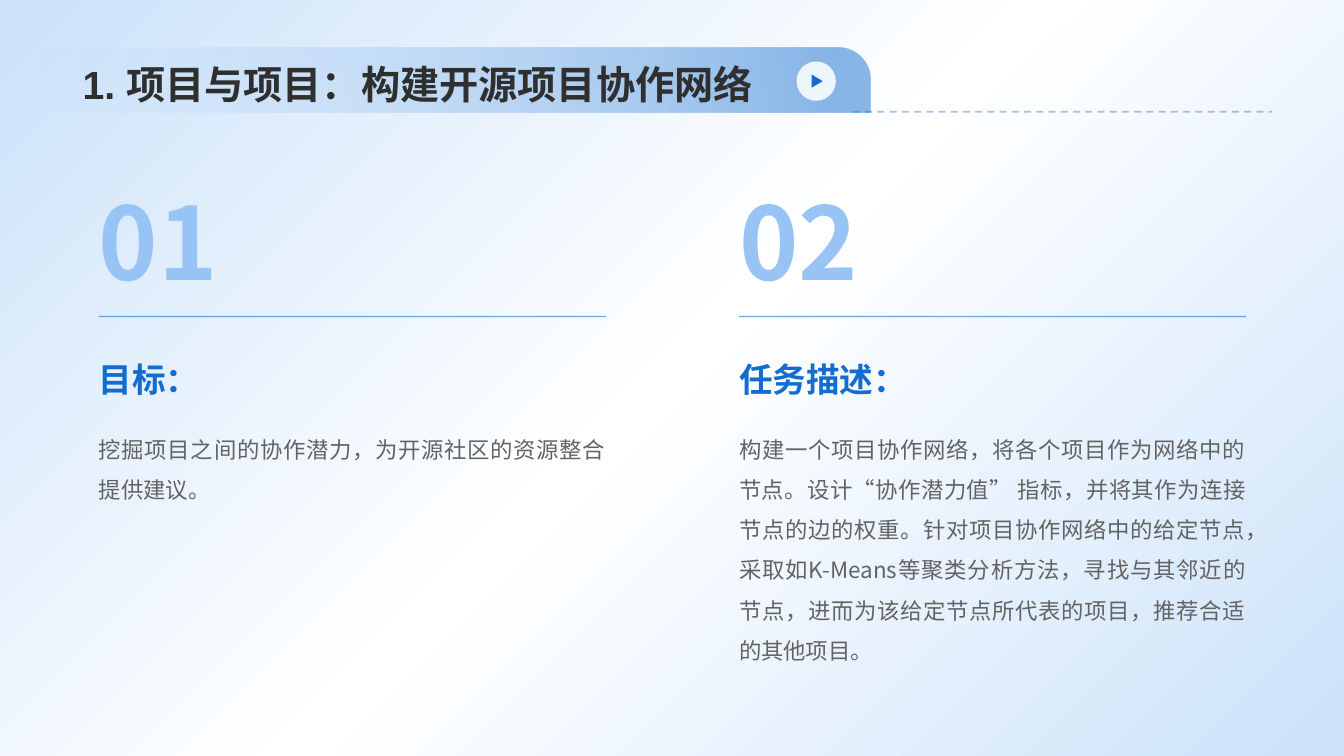
from lxml.etree import SubElement
from pptx import Presentation
from pptx.dml.color import RGBColor
from pptx.enum.dml import MSO_LINE as DASH
from pptx.enum.shapes import MSO_CONNECTOR as CONNECTOR, MSO_SHAPE as SHAPE
from pptx.enum.text import MSO_ANCHOR as ANCHOR, MSO_AUTO_SIZE as AUTO, PP_ALIGN as ALIGN
from pptx.oxml.ns import qn
from pptx.util import Inches, Pt

BLUE = RGBColor(0x13, 0x6D, 0xCF)
LIGHT_BLUE = RGBColor(0x97, 0xC4, 0xF5)
PALE_BLUE = RGBColor(0xCB, 0xE2, 0xFA)
ICE = RGBColor(0xED, 0xF6, 0xFD)
WHITE = RGBColor(0xFF, 0xFF, 0xFF)
DARK = RGBColor(0x2F, 0x2F, 0x2F)
GRAY = RGBColor(0x63, 0x63, 0x63)
CJK_FONT = "Noto Sans CJK SC"
COLUMN_W = 5.03

COLUMNS = [
    ("01", "目标：", "挖掘项目之间的协作潜力，为开源社区的资源整合提供建议。"),
    ("02", "任务描述：",
     "构建一个项目协作网络，将各个项目作为网络中的节点。"
     "设计“协作潜力值” 指标，并将其作为连接节点的边的权重。"
     "针对项目协作网络中的给定节点，采取如K-Means等聚类分析方法，"
     "寻找与其邻近的节点，进而为该给定节点所代表的项目，推荐合适的其他项目。"),
]


def set_alpha(color, percent):
    SubElement(color, qn("a:alpha")).set("val", str(percent * 1000))


def set_gradient(fill, element, angle, stops):
    fill.gradient()
    fill.gradient_angle = angle
    stop_list = next(element.iter(qn("a:gsLst")))
    for old in list(stop_list):
        stop_list.remove(old)
    for position, color, alpha in stops:
        stop = SubElement(stop_list, qn("a:gs"), pos=str(position * 1000))
        set_alpha(SubElement(stop, qn("a:srgbClr"), val=str(color)), alpha)


def set_text(tf, text, size, color, bold=False, font=CJK_FONT, anchor=ANCHOR.TOP,
             align=ALIGN.LEFT, spacing=None, wrap=True):
    tf.word_wrap = wrap
    tf.auto_size = AUTO.NONE
    tf.vertical_anchor = anchor
    p = tf.paragraphs[0]
    p.alignment = align
    p.line_spacing = spacing
    r = p.add_run()
    r.text = text
    r.font.name = font
    r.font.size = Pt(size)
    r.font.bold = bold
    r.font.color.rgb = color
    SubElement(r.font._element, qn("a:ea"), typeface=CJK_FONT)


def add_text(slide, x, y, w, h, text, **style):
    tf = slide.shapes.add_textbox(Inches(x), Inches(y), Inches(w), Inches(h)).text_frame
    tf.margin_left = tf.margin_top = tf.margin_right = tf.margin_bottom = 0
    set_text(tf, text, **style)


def add_shape(slide, kind, x, y, w, h, color=None):
    sp = slide.shapes.add_shape(kind, Inches(x), Inches(y), Inches(w), Inches(h))
    sp.shadow.inherit = False
    sp.line.fill.background()
    if color is not None:
        sp.fill.solid()
        sp.fill.fore_color.rgb = color
    return sp


def add_line(slide, x1, x2, y, width, alpha, dash=DASH.SOLID):
    line = slide.shapes.add_connector(
        CONNECTOR.STRAIGHT, Inches(x1), Inches(y), Inches(x2), Inches(y))
    line.line.color.rgb = BLUE
    line.line.width = Pt(width)
    line.line.dash_style = dash
    set_alpha(next(line.element.iter(qn("a:srgbClr"))), alpha)
    SubElement(line.element.spPr, qn("a:effectLst"))


def add_banner(slide):
    banner = add_shape(slide, SHAPE.ROUND_2_DIAG_RECTANGLE, 0.4, 0.47, 8.23, 0.65)
    banner.adjustments[0] = 0
    banner.adjustments[1] = 0.5
    set_gradient(banner.fill, banner.element, 0, [(0, LIGHT_BLUE, 0), (96, BLUE, 50)])
    add_shape(slide, SHAPE.OVAL, 7.9, 0.61, 0.39, 0.39, ICE)
    add_shape(slide, SHAPE.ISOSCELES_TRIANGLE, 8.04, 0.75, 0.13, 0.11, BLUE).rotation = 90
    add_line(slide, 8.46, 12.62, 1.11, 1.25, 40, DASH.DASH)


def add_title(slide, text):
    title = slide.shapes.title
    title.left, title.top = Inches(0.72), Inches(0.14)
    title.width, title.height = Inches(11.88), Inches(0.98)
    set_text(title.text_frame, text, size=28, color=DARK, bold=True, font="Arial",
             anchor=ANCHOR.BOTTOM)
    title.element.getparent().append(title.element)


def add_column(slide, x, number, heading, body):
    add_text(slide, x, 1.69, COLUMN_W, 1.29, number, size=72, color=LIGHT_BLUE,
             bold=True, anchor=ANCHOR.BOTTOM, wrap=False)
    add_line(slide, x, x + COLUMN_W, 3.14, 1, 60)
    add_text(slide, x, 3.4, COLUMN_W, 0.72, heading, size=24, color=BLUE,
             bold=True, anchor=ANCHOR.MIDDLE)
    add_text(slide, x, 4.19, COLUMN_W, 2.66, body, size=16, color=GRAY,
             align=ALIGN.JUSTIFY, spacing=1.5)


def main():
    prs = Presentation()
    prs.slide_width, prs.slide_height = Inches(13.33), Inches(7.5)
    slide = prs.slides.add_slide(prs.slide_layouts[5])
    set_gradient(slide.background.fill, slide.element, 315,
                 [(0, PALE_BLUE, 100), (50, WHITE, 100), (100, PALE_BLUE, 100)])
    add_banner(slide)
    add_title(slide, "1. 项目与项目：构建开源项目协作网络")
    for i, column in enumerate(COLUMNS):
        add_column(slide, 0.98 + 6.35 * i, *column)
    prs.save("out.pptx")


if __name__ == "__main__":
    main()
